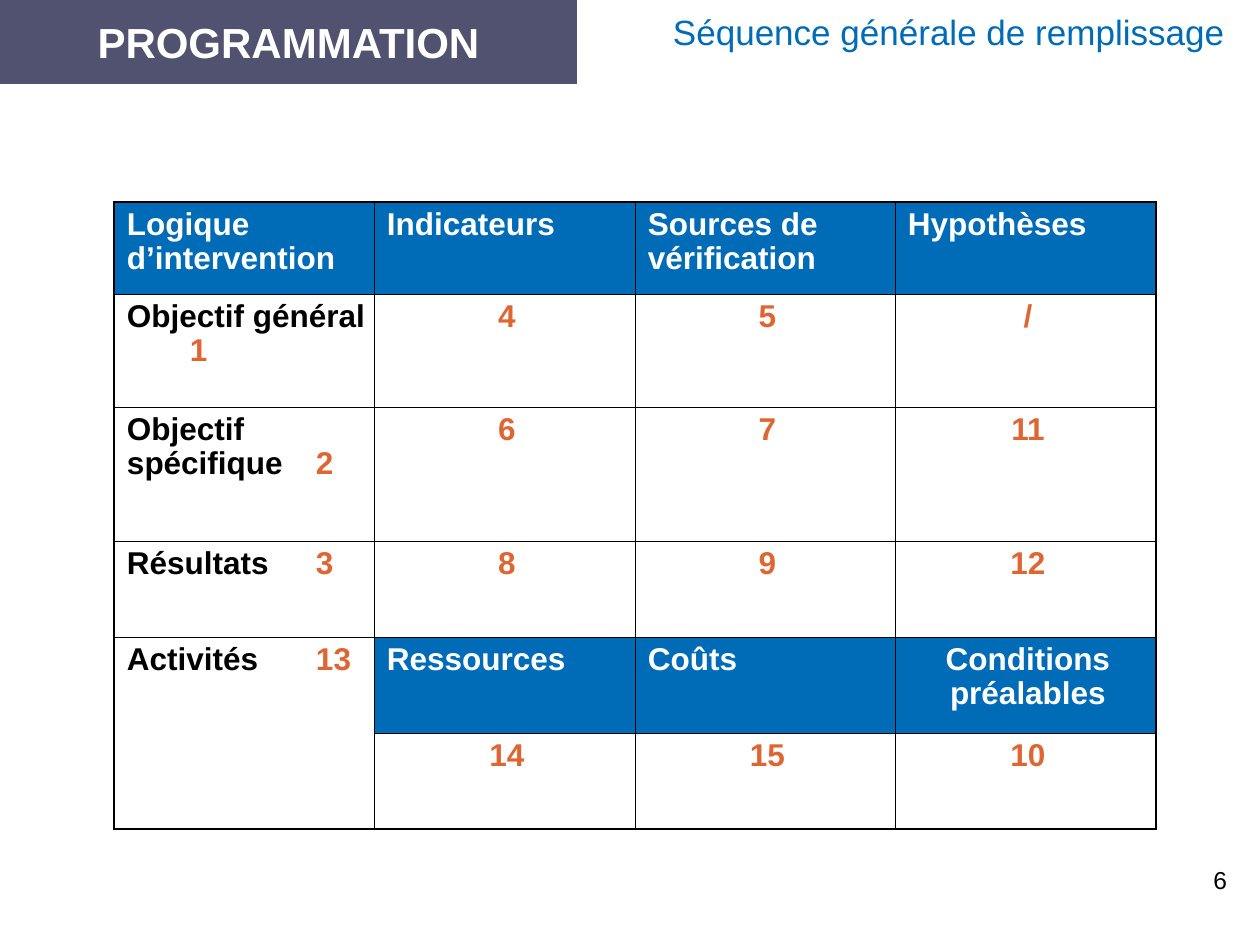
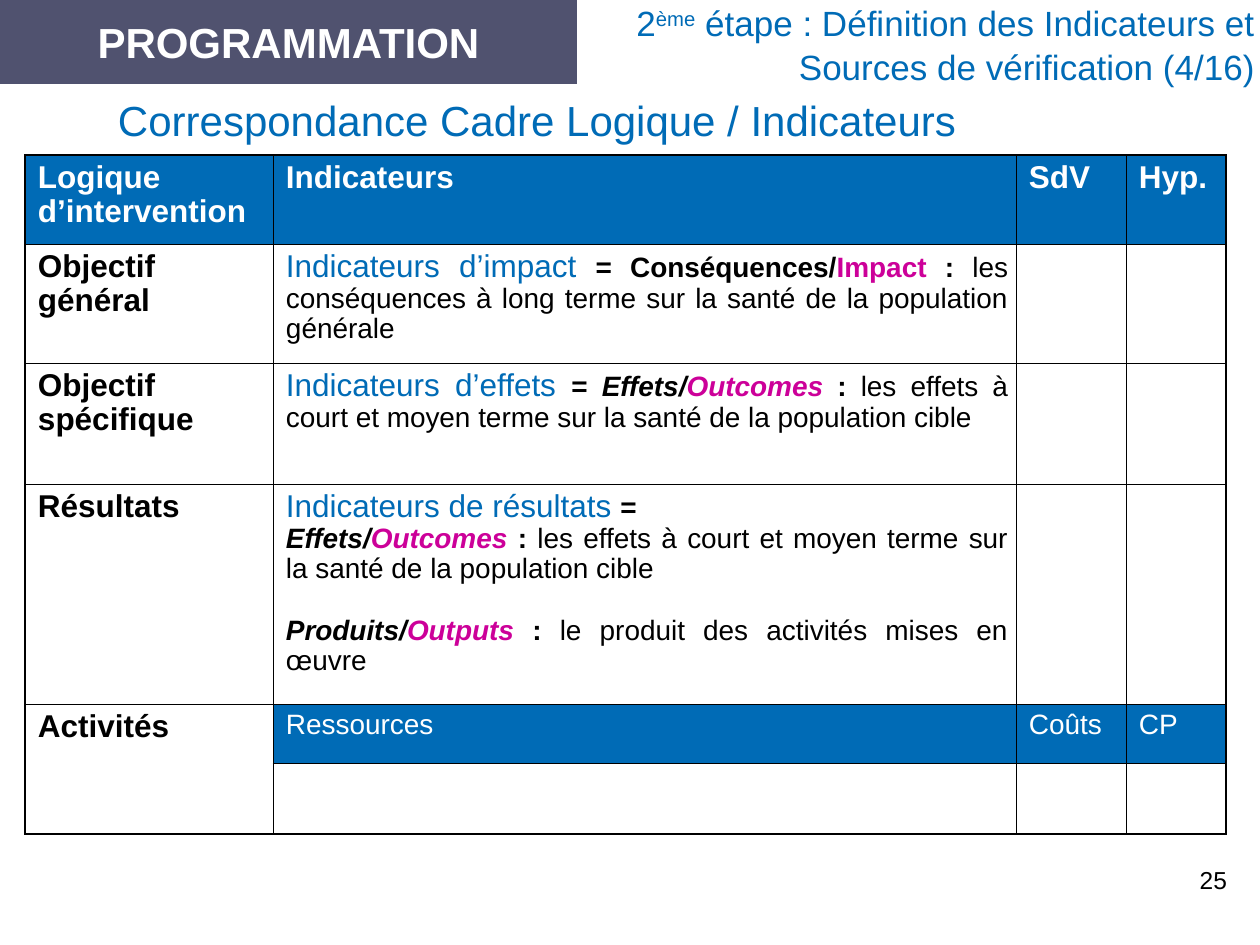
"""Builds two slides on the logical framework and its indicators."""
from lxml import etree
from pptx import Presentation
from pptx import util as u
from pptx.dml.color import RGBColor
from pptx.enum import shapes, text
from pptx.oxml.ns import qn


class Theme:
    font = "Arial"
    band, blue, white, black = "50526F", "006BB6", "FFFFFF", "000000"
    orange, pink = "DD6633", "CC0099"
    big, title, head, body, foot = 24, 20, 18, 16, 14
    thin, thick = 0.45, 1.08
    tight, loose = 0.97, 1.04


T = Theme
KEY = dict(size=T.head, color=T.blue, bold=False)
BOLD = dict(bold=True)
SLANT = dict(bold=True, italic=True)
PINK = dict(bold=True, color=T.pink)
TERM = dict(PINK, italic=True)
NUM = dict(color=T.orange)
SUP = dict(base=30000)
EFFECT = [("Effets/", SLANT), ("Outcomes ", TERM), (": ", BOLD),
          "les effets à court et moyen terme sur la santé de la population cible"]
OUTPUT = [("Produits/", SLANT), ("Outputs ", TERM), (": ", BOLD),
          "le produit des activités mises en œuvre"]

HEAD = dict(size=T.head, color=T.white, bold=True, fill=T.blue)
SUB = dict(HEAD, size=T.body, bold=False)
MID = dict(HEAD, align="CENTER")
MARK = dict(size=T.head, color=T.orange, bold=True, align="CENTER")
NAME = dict(size=T.head, bold=True)
TEXT = dict(size=T.body, align="JUSTIFY", gap=18)


def cell(words, style, **more):
    return [words if isinstance(words, list) else [[words]], {**style, **more}]


def mark(name, num, tab):
    return cell([[name, ("\t" + num, NUM)]], NAME, tab=tab)


def line(words, style):
    return [cell(word, style) for word in words]


SLIDES = [
    dict(
        number="6",
        title=dict(box=(581, 4, 679, 53), indent=92, anchor="MIDDLE",
                   words=[["Séquence générale de remplissage"]]),
        grid=dict(
            at=(114, 202), cols=[260, 261] * 2, rows=[92, 113, 134, 96, 96, 96],
            cells=[
                line(["Logique d’intervention", "Indicateurs",
                      "Sources de vérification", "Hypothèses"], HEAD),
                [mark("Objectif général\v", "1", 66), *line("45/", MARK)],
                [mark("Objectif spécifique", "2", 186), *line(["6", "7", "11"], MARK)],
                [mark("Résultats", "3", 190), *line(["8", "9", "12"], MARK)],
                [mark("Activités", "13", 170), *line(["Ressources", "Coûts"], HEAD),
                 cell("Conditions préalables", MID)],
                [None, *line(["14", "15", "10"], MARK)],
            ])),
    dict(
        number="25",
        title=dict(box=(611, 0, 649, 93), indent=5, align="RIGHT",
                   words=[["2", ("ème", SUP), " étape : Définition des Indicateurs"
                           " et Sources de vérification (4/16)"]]),
        topic="Correspondance Cadre Logique / Indicateurs",
        grid=dict(
            at=(25, 155), cols=[248, 743, 110, 100], rows=[89, 119, 121, 220, 59, 71],
            cells=[
                line(["Logique d’intervention", "Indicateurs", "SdV", "Hyp."], HEAD),
                [cell("Objectif général", NAME),
                 cell([[("Indicateurs d’impact ", KEY), ("= Conséquences/", BOLD),
                        ("Impact ", PINK), (": ", BOLD),
                        "les conséquences à long terme sur la santé de la "
                        "population générale"]], TEXT), None, None],
                [cell("Objectif spécifique", NAME),
                 cell([[("Indicateurs d’effets ", KEY), ("= ", BOLD), *EFFECT]], TEXT),
                 None, None],
                [cell("Résultats", NAME),
                 cell([[("Indicateurs de résultats ", KEY), ("= ", BOLD)],
                       EFFECT, OUTPUT], TEXT), None, None],
                [cell("Activités", NAME), *line(["Ressources", "Coûts", "CP"], SUB)],
                [None] * 4,
            ])),
]


def px(n):
    return u.Emu(round(n * 914400 / 126))


def rgb(code):
    return RGBColor.from_string(code)


def style(run, size, color, bold=False, italic=False, base=None):
    font = run.font
    font.name, font.size, font.bold, font.italic = T.font, u.Pt(size), bold, italic
    font.color.rgb = rgb(color)
    if base:
        run._r.get_or_add_rPr().set("baseline", str(base))


def write(frame, words, size, color=T.black, bold=False, align="LEFT",
          indent=0, tab=None, gap=0, space=None):
    frame.word_wrap = True
    for i, runs in enumerate(words):
        para = frame.paragraphs[0] if i == 0 else frame.add_paragraph()
        para.alignment = getattr(text.PP_ALIGN, align)
        if space:
            para.line_spacing = space
        if gap and i > 1:
            para.space_before = u.Pt(gap)
        props = para._p.get_or_add_pPr()
        props.set("marL", str(px(indent)))
        props.set("indent", "0")
        if tab:
            tabs = etree.SubElement(props, qn("a:tabLst"))
            etree.SubElement(tabs, qn("a:tab"), pos=str(px(tab)), algn="l")
        for item in runs:
            part, own = (item, {}) if isinstance(item, str) else item
            run = para.add_run()
            run.text = part.rstrip("\v")
            style(run, **{"size": size, "color": color, "bold": bold, **own})
            if part.endswith("\v"):
                para.add_line_break()


def inset(frame, left, top, right, bottom):
    frame.margin_left, frame.margin_top = px(left), px(top)
    frame.margin_right, frame.margin_bottom = px(right), px(bottom)


def label(slide, words, box, pad=(13, 6, 13, 6), anchor="TOP", **form):
    frame = slide.shapes.add_textbox(*map(px, box)).text_frame
    inset(frame, *pad)
    frame.vertical_anchor = getattr(text.MSO_ANCHOR, anchor)
    write(frame, words, **form)


def band(slide):
    box = slide.shapes.add_shape(shapes.MSO_SHAPE.RECTANGLE, 0, 0, px(577), px(84))
    box.shadow.inherit = False
    box.fill.solid()
    box.fill.fore_color.rgb = rgb(T.band)
    box.line.fill.background()
    box.text_frame.vertical_anchor = text.MSO_ANCHOR.MIDDLE
    write(box.text_frame, [["PROGRAMMATION"]], size=T.big, color=T.white,
          bold=True, align="CENTER")


def border(spot, edges):
    props = spot._tc.get_or_add_tcPr()
    for side, outer in edges.items():
        width = u.Pt(T.thick if outer else T.thin)
        ln = etree.SubElement(props, qn("a:ln" + side), w=str(width))
        fill = etree.SubElement(ln, qn("a:solidFill"))
        etree.SubElement(fill, qn("a:srgbClr"), val=T.black)


def grid(slide, at, cols, rows, cells):
    size = sum(cols), sum(rows)
    table = slide.shapes.add_table(len(rows), len(cols), *map(px, at + size)).table
    table.first_row = table.horz_banding = False
    for col, wide in zip(table.columns, cols):
        col.width = px(wide)
    for row, high in zip(table.rows, rows):
        row.height = px(high)
    last = len(rows) - 1
    table.cell(last - 1, 0).merge(table.cell(last, 0))
    for r, row in enumerate(cells):
        for c, item in enumerate(row):
            spot = table.cell(r, c)
            if spot.is_spanned:
                continue
            end = r + spot.span_height - 1
            border(spot, dict(L=c == 0, R=c == len(cols) - 1, T=r == 0, B=end == last))
            inset(spot, 8, 6, 8, 6)
            words, form = item or ([], {})
            form = dict(form)
            fill = form.pop("fill", None)
            if fill:
                spot.fill.solid()
                spot.fill.fore_color.rgb = rgb(fill)
            else:
                spot.fill.background()
            if words:
                write(spot.text_frame, words, indent=5, space=T.tight, **form)


def main():
    deck = Presentation()
    deck.slide_width, deck.slide_height = px(1260), px(945)
    for data in SLIDES:
        slide = deck.slides.add_slide(deck.slide_layouts[6])
        band(slide)
        label(slide, **data["title"], pad=(0, 0, 5, 0), size=T.title,
              color=T.blue, space=T.loose)
        if "topic" in data:
            label(slide, [[data["topic"]]], (105, 86, 1071, 72), size=T.big,
                  color=T.blue, space=T.loose)
        grid(slide, **data["grid"])
        label(slide, [[data["number"]]], (978, 859, 262, 63), size=T.foot, align="RIGHT")
    deck.save("out.pptx")


if __name__ == "__main__":
    main()
